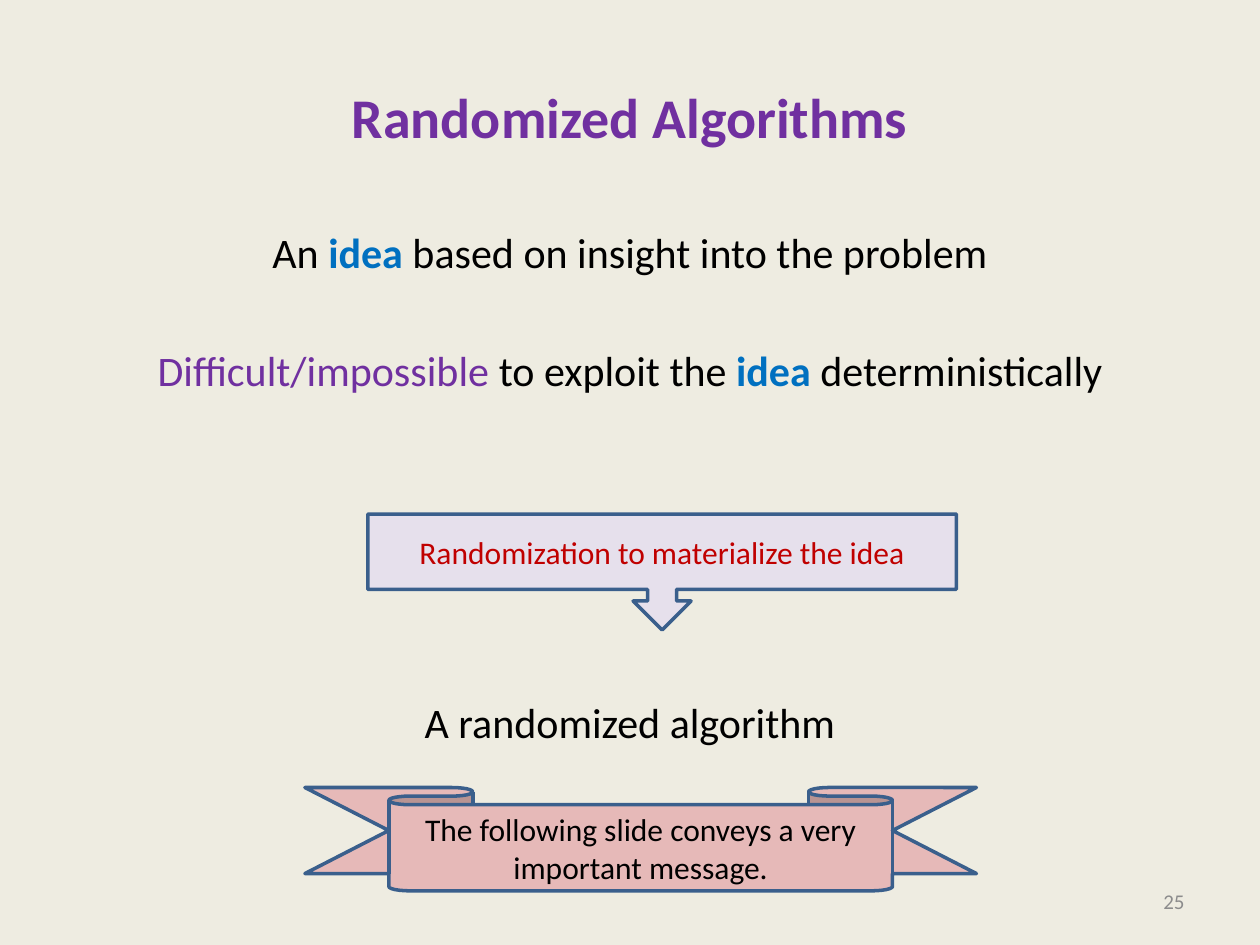
from pptx import Presentation
from pptx.dml.color import RGBColor
from pptx.enum.shapes import MSO_SHAPE as Shape
from pptx.enum.text import MSO_ANCHOR as Anchor, PP_ALIGN as Align
from pptx.util import Inches, Pt

PURPLE, BLUE, RED, BLACK, GREY = "7030A0", "0070C0", "C00000", "000000", "8C8C8C"
OUTLINE, LAVENDER, PINK, CREAM = "3A5F8C", "E6E0EC", "E6B9B8", "EEECE1"


def color(value):
    return RGBColor.from_string(value)


class SlideStyle:
    font = "Calibri"

    def __init__(self, page):
        self.page = page
        page.background.fill.solid()
        page.background.fill.fore_color.rgb = color(CREAM)

    def format(self, para, size, tint, align=Align.CENTER, bold=False):
        para.alignment = align
        para.font.name = self.font
        para.font.size = Pt(size)
        para.font.bold = bold
        para.font.color.rgb = color(tint)

    def fill_text(self, frame, text, size, tint, align=Align.CENTER, bold=False):
        frame.word_wrap = True
        frame.vertical_anchor = Anchor.MIDDLE
        frame.text = text
        self.format(frame.paragraphs[0], size, tint, align, bold)

    def title(self, text, left, top, width, height):
        box = self.page.shapes.title
        box.left, box.top = Inches(left), Inches(top)
        box.width, box.height = Inches(width), Inches(height)
        self.fill_text(box.text_frame, text, 32, PURPLE, bold=True)

    def label(self, text, left, top, width, height, size, tint, align):
        box = self.page.shapes.add_textbox(
            Inches(left), Inches(top), Inches(width), Inches(height))
        self.fill_text(box.text_frame, text, size, tint, align)

    def body(self, lines, left, top, width, height, size=24):
        """Each line is (space before in points, [(text, colour, bold), ...])."""
        box = self.page.shapes.add_textbox(
            Inches(left), Inches(top), Inches(width), Inches(height))
        frame = box.text_frame
        frame.word_wrap = True
        for index, (gap, spans) in enumerate(lines):
            para = frame.add_paragraph() if index else frame.paragraphs[0]
            self.format(para, size, BLACK)
            para.space_before = Pt(gap)
            for text, tint, bold in spans:
                span = para.add_run()
                span.text = text
                span.font.name = self.font
                span.font.size = Pt(size)
                span.font.bold = bold
                span.font.color.rgb = color(tint)

    def shape(self, kind, text, left, top, width, height, fill, tint, adjust=()):
        box = self.page.shapes.add_shape(
            kind, Inches(left), Inches(top), Inches(width), Inches(height))
        for index, value in enumerate(adjust):
            box.adjustments[index] = value
        box.shadow.inherit = False
        box.fill.solid()
        box.fill.fore_color.rgb = color(fill)
        box.line.color.rgb = color(OUTLINE)
        box.line.width = Pt(2)
        frame = box.text_frame
        frame.margin_top = frame.margin_bottom = 0
        self.fill_text(frame, text, 18, tint)


def main():
    deck = Presentation()
    deck.slide_width, deck.slide_height = Inches(10), Inches(7.5)
    slide = SlideStyle(deck.slides.add_slide(deck.slide_layouts[5]))

    # Title and statements
    slide.title("Randomized Algorithms", 0.5, 0.3, 9, 1.25)
    idea = ("idea", BLUE, True)
    slide.body([
        (0, [("An ", BLACK, False), idea,
             (" based on insight into the problem", BLACK, False)]),
        (38.5, [("Difficult/impossible", PURPLE, False),
                (" to exploit the ", BLACK, False), idea,
                (" deterministically", BLACK, False)]),
        (172.5, [("A randomized algorithm", BLACK, False)]),
    ], 0.5, 1.75, 9, 4.95)

    # Page number
    slide.label("25", 7.17, 6.95, 2.33, 0.4, 12, GREY, Align.RIGHT)

    # Callout and closing ribbon, tall enough for two lines
    slide.shape(Shape.DOWN_ARROW_CALLOUT, "Randomization to materialize the idea",
                2.92, 4.08, 4.67, 0.92, LAVENDER, RED)
    slide.shape(Shape.DOWN_RIBBON,
                "The following slide conveys a very important message.",
                2.42, 6.25, 5.33, 0.82, PINK, BLACK, (0.167, 0.75))

    deck.save("out.pptx")


if __name__ == "__main__":
    main()
